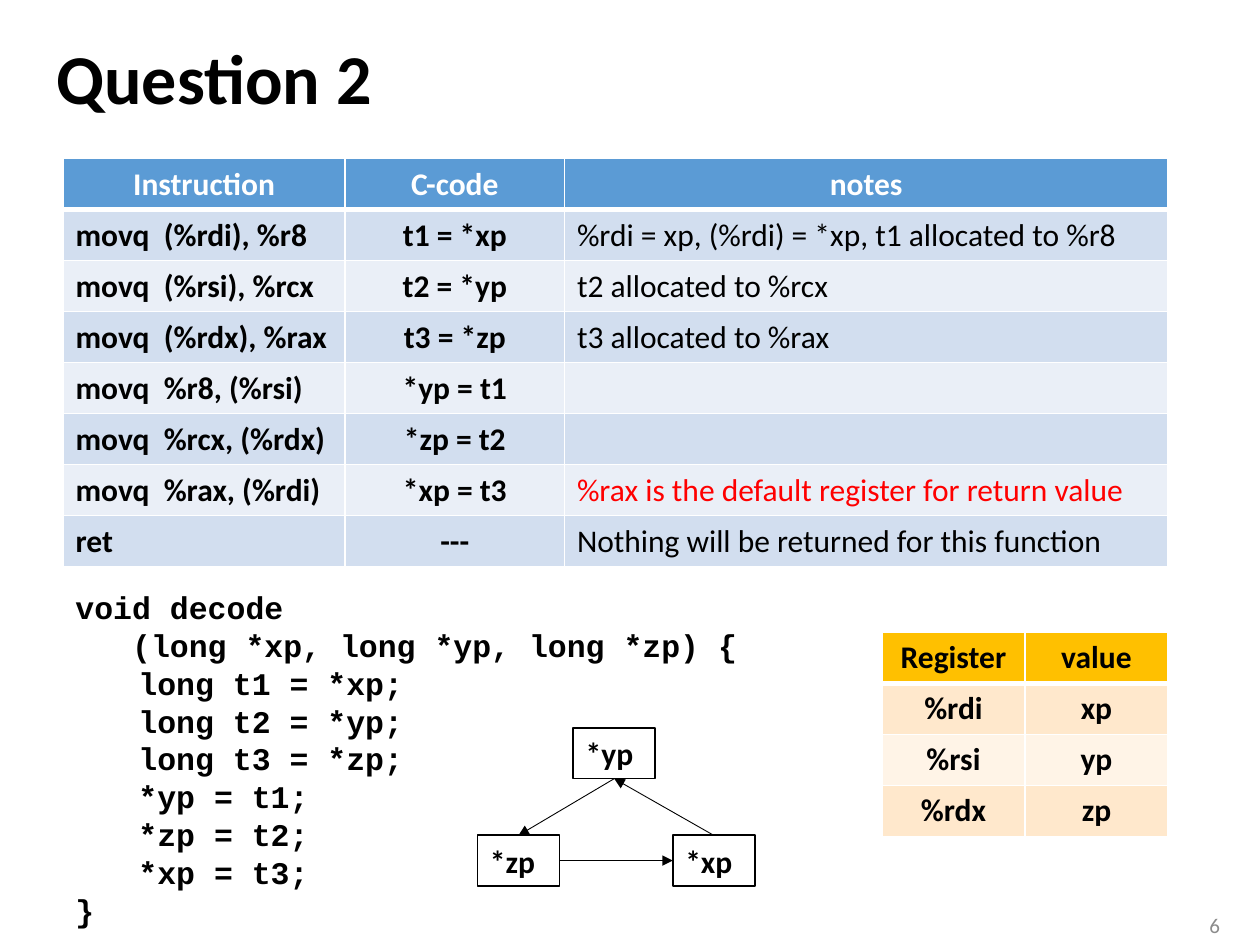
import pptx
import pptx.util
import pptx.dml.color
import pptx.enum.shapes
import pptx.enum.text
import pptx.oxml
import pptx.oxml.ns

SPAN = (100, 75)
ALIGN = pptx.enum.text.PP_ALIGN
ANCHOR = pptx.enum.text.MSO_ANCHOR
NS = pptx.oxml.ns.nsdecls("a")


def hue(code):
    return pptx.dml.color.RGBColor.from_string(code)


def node(body):
    return pptx.oxml.parse_xml(body.replace(" ", f" {NS} ", 1))


def write(frame, lines, size=18, font="Calibri", color="000000", bold=True,
          align=ALIGN.LEFT, anchor=ANCHOR.TOP, space=None, wrap=True,
          indents=None, tab=None):
    frame.word_wrap = wrap
    frame.vertical_anchor = anchor
    for i, line in enumerate(lines):
        para = frame.paragraphs[0] if i == 0 else frame.add_paragraph()
        para.alignment = align
        if space:
            para.line_spacing = space
        props = para._p.get_or_add_pPr()
        if indents:
            props.set("marL", str(pptx.util.Inches(indents[i])))
        if tab:
            stop = pptx.util.Inches(tab)
            props.append(node(f'<a:tabLst ><a:tab pos="{stop}" algn="l"/></a:tabLst>'))
        run = para.add_run()
        run.text = line
        run.font.size = pptx.util.Pt(size)
        run.font.name = font
        run.font.bold = bold
        run.font.color.rgb = hue(color)


class Page:
    """Draw styled elements on one slide, placed by grid columns and rows."""

    def __init__(self, deck, ink="000000", paper="FFFFFF"):
        self.unit = (deck.slide_width / SPAN[0], deck.slide_height / SPAN[1])
        self.slide = deck.slides.add_slide(deck.slide_layouts[6])
        self.shapes = self.slide.shapes
        self.ink, self.paper = ink, paper

    def place(self, *spot):
        return [round(v * self.unit[i % 2]) for i, v in enumerate(spot)]

    def text(self, spot, lines, **form):
        box = self.shapes.add_textbox(*self.place(*spot))
        write(box.text_frame, lines, **form)

    def node(self, spot, label):
        kind = pptx.enum.shapes.MSO_SHAPE.RECTANGLE
        box = self.shapes.add_shape(kind, *self.place(*spot))
        box.shadow.inherit = False
        box.fill.solid()
        box.fill.fore_color.rgb = hue(self.paper)
        box.line.color.rgb = hue(self.ink)
        box.line.width = pptx.util.Pt(1)
        write(box.text_frame, [label])
        return box

    def arrow(self, start, side, end, face):
        kind = pptx.enum.shapes.MSO_CONNECTOR.STRAIGHT
        link = self.shapes.add_connector(kind, 0, 0, 0, 0)
        link.begin_connect(start, side)
        link.end_connect(end, face)
        link.line.color.rgb = hue(self.ink)
        link.line.width = pptx.util.Pt(0.5)
        link.line._get_or_add_ln().append(node('<a:tailEnd type="triangle"/>'))
        link._element.spPr.append(node("<a:effectLst />"))

    def table(self, spot, widths, rows, fills, style):
        grid = self.shapes.add_table(len(rows), len(widths), *self.place(*spot)).table
        for col, width in zip(grid.columns, widths):
            col.width = self.place(width)[0]
        for r, row in enumerate(rows):
            shade = fills[0] if r == 0 else fills[2 - r % 2]
            for c, word in enumerate(row):
                cell = grid.cell(r, c)
                self.frame(cell, r)
                cell.fill.solid()
                cell.fill.fore_color.rgb = hue(shade)
                form = style(r, c)
                cell.vertical_anchor = form.pop("anchor", ANCHOR.MIDDLE)
                if word:
                    write(cell.text_frame, [word], wrap=None, anchor=None, **form)

    def frame(self, cell, row):
        thick = {("B", 0): 3, ("T", 1): 3}
        for side in "LRTB":
            width = pptx.util.Pt(thick.get((side, row), 1))
            cell._tc.get_or_add_tcPr().append(node(
                f'<a:ln{side} w="{width}"><a:solidFill><a:srgbClr val="{self.paper}"/>'
                f"</a:solidFill></a:ln{side}>"))


STEPS = [
    ("Instruction", "C-code", "notes"),
    ("movq\t(%rdi), %r8", "t1 = *xp", "%rdi = xp, (%rdi) = *xp, t1 allocated to %r8"),
    ("movq\t(%rsi), %rcx", "t2 = *yp", "t2 allocated to %rcx"),
    ("movq\t(%rdx), %rax", "t3 = *zp", "t3 allocated to %rax"),
    ("movq\t%r8, (%rsi)", "*yp = t1", ""),
    ("movq\t%rcx, (%rdx)", "*zp = t2", ""),
    ("movq\t%rax, (%rdi)", "*xp = t3", "%rax is the default register for return value"),
    ("ret", "---", "Nothing will be returned for this function"),
]
ARGS = [("Register", "value"), ("%rdi", "xp"), ("%rsi", "yp"), ("%rdx", "zp")]
CODE = ["void decode", "(long *xp, long *yp, long *zp) {", "long t1 = *xp;",
        "long t2 = *yp;", "long t3 = *zp;", "*yp = t1;", "*zp = t2;",
        "*xp = t3;", "}"]


def step(row, col):
    form = {"align": ALIGN.CENTER}
    if row == 0:
        form["color"] = "FFFFFF"
    elif col == 0:
        form.update(align=ALIGN.LEFT, tab=0.7)
    elif col == 2:
        form.update(align=ALIGN.LEFT, bold=False,
                    color="FF0000" if row == 6 else "000000")
    if col == 2:
        form["anchor"] = ANCHOR.TOP
    return form


def main():
    deck = pptx.Presentation()
    deck.slide_width = pptx.util.Inches(10)
    deck.slide_height = pptx.util.Inches(7.5)
    page = Page(deck)
    page.text((3.5, 1.9, 92.9, 9.2), ["Question 2"], size=40,
              anchor=ANCHOR.MIDDLE, space=0.9)
    page.text((92.7, 71.9, 5.1, 3.1), ["6"], size=12, color="8C8C8C", bold=False,
              align=ALIGN.RIGHT, anchor=ANCHOR.MIDDLE)
    page.table((70, 50.2, 22.7, 16.2), (11.35, 11.35), ARGS,
               ("FFC000", "FFE8CC", "FFF4E7"), lambda r, c: {"align": ALIGN.CENTER})
    page.table((5, 12.6, 87.7, 32.4), (22.4, 17.4, 47.9), STEPS,
               ("5B9BD5", "D2DEEF", "EAEFF7"), step)
    page.text((5, 46.2, 54.8, 28.3), CODE, font="Courier New", wrap=False,
              indents=[0, 0.45] + [0.5] * 6 + [0])
    spots = {"*yp": (45.5, 57.8), "*xp": (53.4, 66.3), "*zp": (37.9, 66.3)}
    yp, xp, zp = [page.node((*spot, 6.5, 4), name) for name, spot in spots.items()]
    page.arrow(xp, 0, yp, 2)
    page.arrow(yp, 2, zp, 0)
    page.arrow(zp, 3, xp, 1)
    deck.save("out.pptx")


if __name__ == "__main__":
    main()
